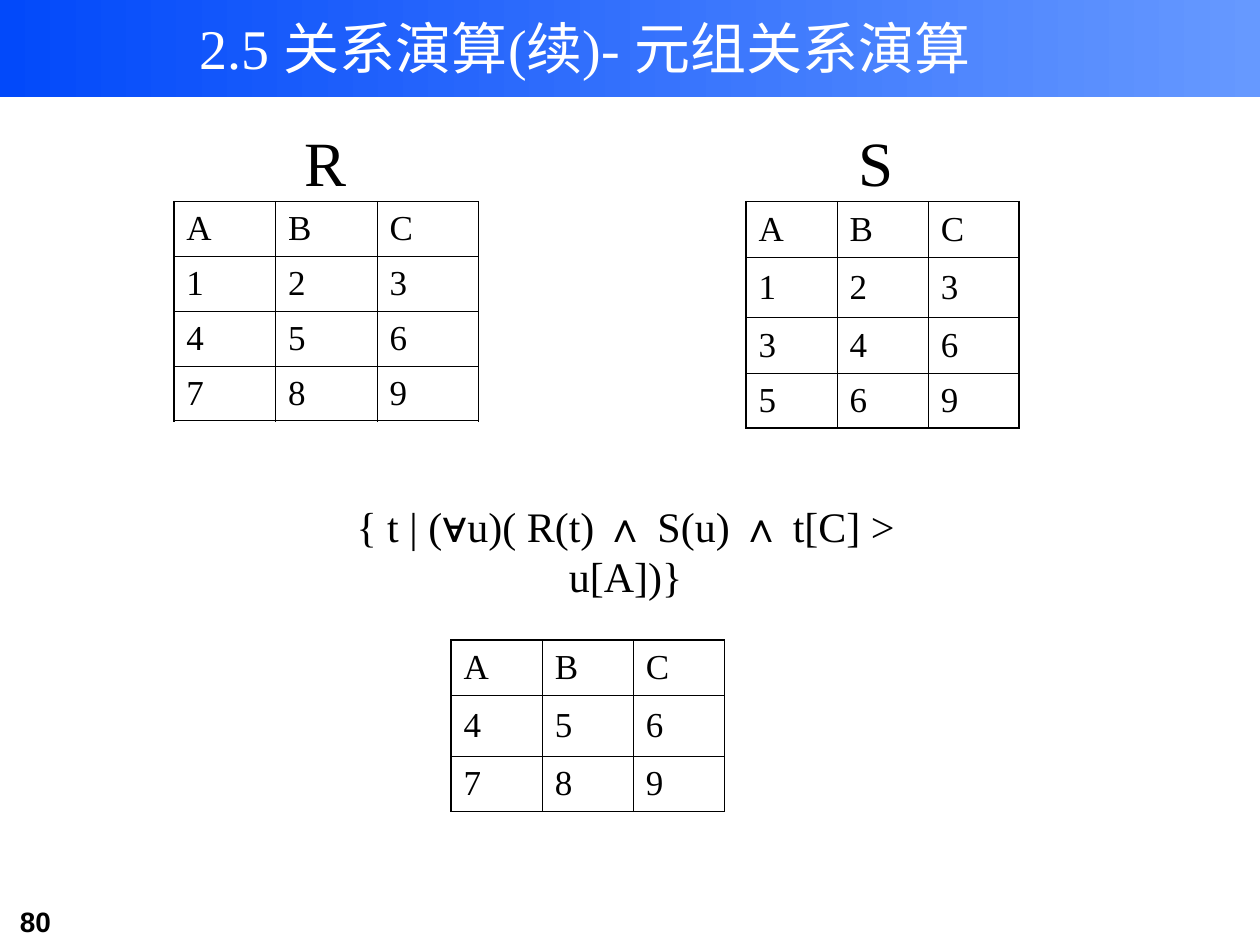
from lxml.etree import SubElement
from pptx import Presentation
from pptx.dml.color import RGBColor
from pptx.enum.shapes import MSO_SHAPE
from pptx.enum.text import MSO_ANCHOR, PP_ALIGN
from pptx.oxml.ns import qn
from pptx.util import Inches, Pt

SERIF = "Times New Roman"
SANS = "Arial"
BLACK = "000000"
WHITE = "FFFFFF"


def colour(code):
    return RGBColor.from_string(code)


class Lecture:
    """Holds the type style and the current page, and draws each kind of element."""

    def __init__(self, page):
        self.page = page
        self.thin = 0.45
        self.thick = 1.08

    def style(self, span, size, font=SERIF, ink=BLACK, bold=False):
        span.font.name = font
        span.font.size = Pt(size)
        span.font.bold = bold
        span.font.color.rgb = colour(ink)

    def band(self, left, top, width, height, start, end):
        box = self.page.shapes.add_shape(
            MSO_SHAPE.RECTANGLE, Inches(left), Inches(top), Inches(width), Inches(height))
        box.shadow.inherit = False
        box.line.fill.background()
        box.fill.gradient()
        box.fill.gradient_angle = 0
        for stop, code, position in zip(box.fill.gradient_stops, (start, end), (0, 1)):
            stop.color.rgb = colour(code)
            stop.position = position

    def text(self, left, top, width, height, pieces, size, align=PP_ALIGN.CENTER,
             anchor=MSO_ANCHOR.TOP, ink=BLACK, bold=False):
        box = self.page.shapes.add_textbox(
            Inches(left), Inches(top), Inches(width), Inches(height))
        frame = box.text_frame
        frame.word_wrap = True
        frame.vertical_anchor = anchor
        para = frame.paragraphs[0]
        para.alignment = align
        for words, font in pieces:
            span = para.add_run()
            span.text = words
            self.style(span, size, font, ink, bold)

    def borders(self, cell, outer):
        properties = cell._tc.get_or_add_tcPr()
        for index, (side, is_outer) in enumerate(zip("LRTB", outer)):
            width = Pt(self.thick if is_outer else self.thin)
            line = SubElement(properties, qn(f"a:ln{side}"), w=str(int(width)))
            fill = SubElement(line, qn("a:solidFill"))
            SubElement(fill, qn("a:srgbClr"), val=BLACK)
            properties.insert(index, line)

    def relation(self, left, top, width, heights, rows):
        columns = len(rows[0])
        table = self.page.shapes.add_table(
            len(rows), columns, Inches(left), Inches(top),
            Inches(width), Inches(sum(heights))).table
        table.first_row = False
        table.horz_banding = False
        for column in table.columns:
            column.width = Inches(width / columns)
        for r, (height, values) in enumerate(zip(heights, rows)):
            table.rows[r].height = Inches(height)
            for c, value in enumerate(values):
                cell = table.cell(r, c)
                cell.vertical_anchor = MSO_ANCHOR.MIDDLE
                cell.fill.background()
                cell.text_frame.text = value
                self.style(cell.text_frame.paragraphs[0].runs[0], 20)
                self.borders(cell, (c == 0, c == columns - 1, r == 0, r == len(rows) - 1))


def main():
    deck = Presentation()
    deck.slide_width, deck.slide_height = Inches(10), Inches(7.5)
    lecture = Lecture(deck.slides.add_slide(deck.slide_layouts[6]))

    lecture.band(0, 0, 10, 0.77, "0249FA", "6699FF")
    lecture.text(0.06, 7.13, 1.22, 0.37, [("80", SANS)], 16, PP_ALIGN.LEFT, bold=True)
    lecture.relation(1.38, 1.6, 2.42, [1.74 / 4] * 4, ["ABC", "123", "456", "789"])
    lecture.relation(5.92, 1.6, 2.17, [0.44, 0.48, 0.44, 0.44], ["ABC", "123", "346", "569"])
    for name, left in (("R", 2.21), ("S", 6.58)):
        lecture.text(left, 0.93, 0.75, 0.7, [(name, SERIF)], 36)
    lecture.text(1.04, 0.04, 7.21, 0.67, [("2.5 关系演算(续)- 元组关系演算", SERIF)], 32,
                 anchor=MSO_ANCHOR.MIDDLE, ink=WHITE)
    lecture.relation(3.58, 5.08, 2.17, [0.44, 0.48, 0.44], ["ABC", "456", "789"])
    formula = [("{ t | (", SERIF), ("∀", SANS), ("u)( R(t) ", SERIF), ("∧", SANS),
               (" S(u) ", SERIF), ("∧", SANS), (" t[C] > u[A])}", SERIF)]
    lecture.text(2.44, 3.92, 5.05, 0.5, formula, 24)

    deck.save("out.pptx")


if __name__ == "__main__":
    main()
